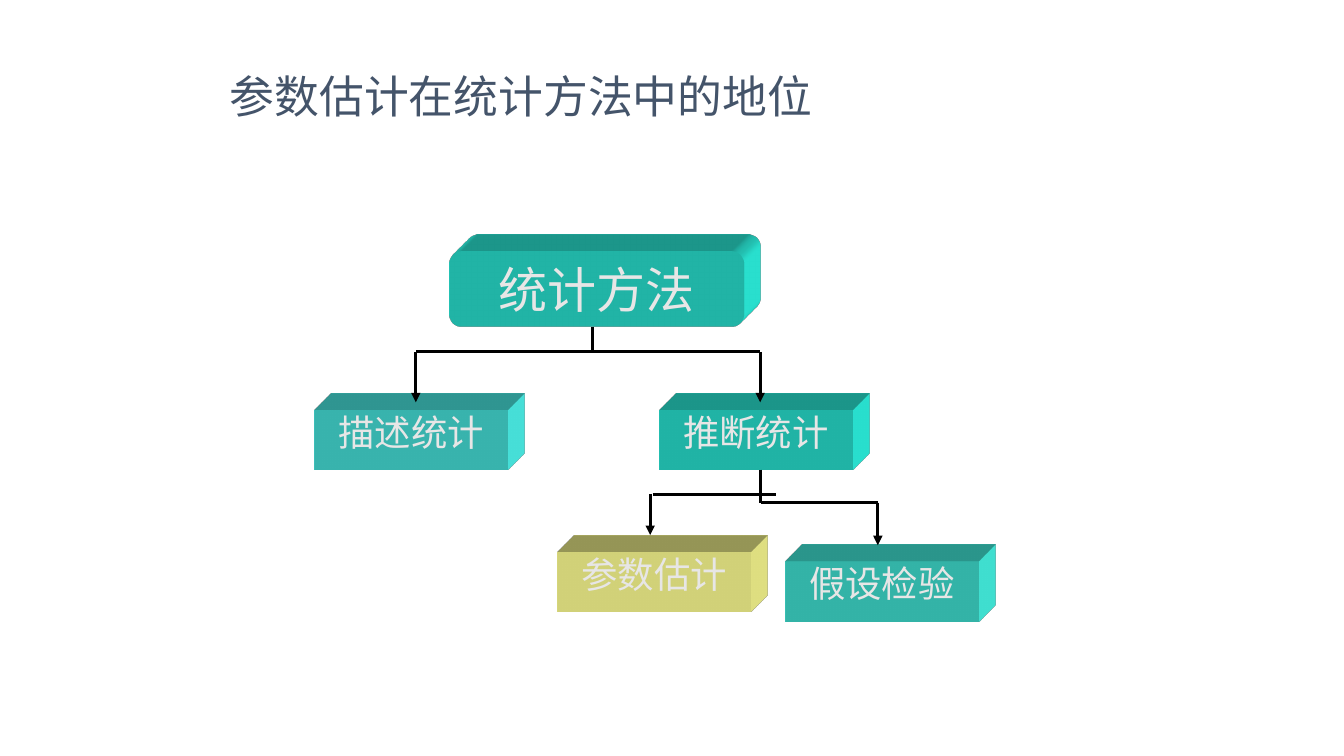
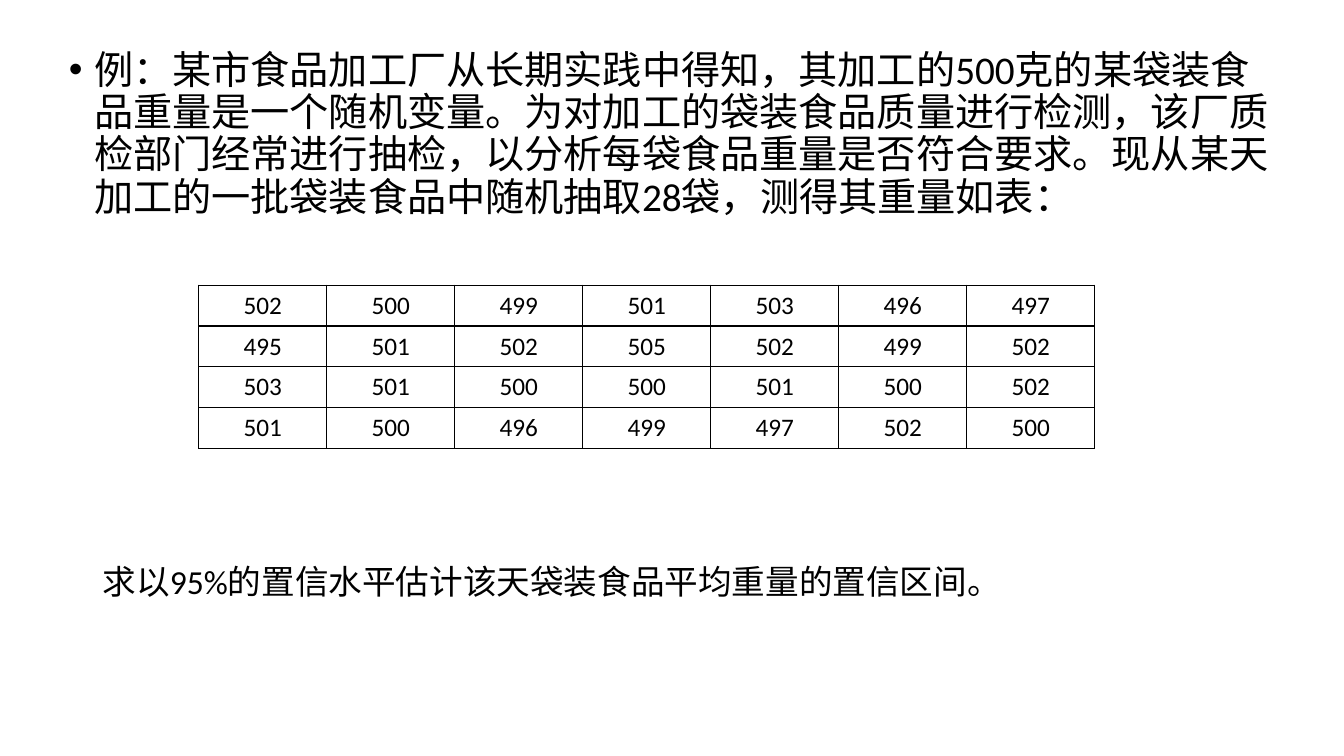
"""Build two slides on parameter estimation: a method tree and a worked sample."""
import pptx
import pptx.util
import pptx.dml.color
import pptx.enum.shapes
import pptx.enum.text
import pptx.oxml
import pptx.oxml.ns
from lxml import etree

Pt = pptx.util.Pt
Color = pptx.dml.color.RGBColor.from_string
Align = pptx.enum.text.PP_ALIGN
Anchor = pptx.enum.text.MSO_ANCHOR
Kind = pptx.enum.shapes.MSO_SHAPE
tag = pptx.oxml.ns.qn

THEME = {
    "sans": "Calibri", "serif": "Times New Roman",
    "title": "44546A", "ink": "000000", "pale": "E7E6E6",
    "teal": "2FFFEB", "aqua": "51FFF7", "mint": "49FFEE", "gold": "FFFF93",
    "head": 32, "root": 35, "node": 26, "body": 28, "note": 24, "cell": 18,
    "line": 2.25, "rule": 1,
}

deck = pptx.Presentation()
deck.slide_width = pptx.util.Inches(13.333)
deck.slide_height = pptx.util.Inches(7.5)
ROWS = 90
UNIT = deck.slide_height / ROWS


def write(frame, text, size, font="sans", color="ink", align=Align.LEFT,
          anchor=Anchor.TOP, wrap=True, lead=None, bullet=None, indent=0):
    """Put one formatted paragraph into a text frame."""
    frame.word_wrap = wrap
    frame.vertical_anchor = anchor
    para = frame.paragraphs[0]
    if bullet:
        props = para._p.get_or_add_pPr()
        props.set("marL", str(int(indent * UNIT)))
        props.set("indent", str(int(-indent * UNIT)))
        etree.SubElement(props, tag("a:buFont")).set("typeface", "Arial")
        etree.SubElement(props, tag("a:buChar")).set("char", bullet)
    para.alignment = align
    if lead:
        para.line_spacing = lead
    run = para.add_run()
    run.text = text
    run.font.size = Pt(THEME[size])
    run.font.name = THEME[font]
    run.font.color.rgb = Color(THEME[color])


def raise_box(shape, base, light):
    """Fill a shape and extrude it to the upper right."""
    shape.shadow.inherit = False
    shape.fill.solid()
    shape.fill.fore_color.rgb = Color(THEME[base])
    shape.line.fill.background()
    props = shape._element.spPr
    scene = etree.SubElement(props, tag("a:scene3d"))
    etree.SubElement(scene, tag("a:camera"), prst="legacyObliqueTopRight")
    etree.SubElement(scene, tag("a:lightRig"), rig="legacyFlat3", dir=light)
    solid = etree.SubElement(
        props, tag("a:sp3d"), extrusionH="430200", prstMaterial="legacyMatte")
    for bevel in ("a:bevelT", "a:bevelB"):
        etree.SubElement(solid, tag(bevel), w="13500", h="13500", prst="angle")
    tint = etree.SubElement(solid, tag("a:extrusionClr"))
    etree.SubElement(tint, tag("a:srgbClr"), val=THEME[base])


tree = deck.slides.add_slide(deck.slide_layouts[6])
data = deck.slides.add_slide(deck.slide_layouts[6])

texts = [
    (tree, (26.16, 6.3, 73.7, 10.9), "参数估计在统计方法中的地位",
     dict(size="head", color="title", anchor=Anchor.MIDDLE, lead=0.9)),
    (data, (7.02, 5.4, 147.5, 57.1),
     "例：某市食品加工厂从长期实践中得知，其加工的500克的某袋装食品重量是一个随机变量。"
     "为对加工的袋装食品质量进行检测，该厂质检部门经常进行抽检，以分析每袋食品重量是否符合要求。"
     "现从某天加工的一批袋装食品中随机抽取28袋，测得其重量如表：",
     dict(size="body", lead=0.9, bullet="•", indent=3)),
    (data, (11.04, 66.24, 110.4, 6), "求以95%的置信水平估计该天袋装食品平均重量的置信区间。",
     dict(size="note", wrap=False)),
]
for slide, spot, text, style in texts:
    box = slide.shapes.add_textbox(*[int(n * UNIT) for n in spot])
    write(box.text_frame, text, **style)

WIDE, HIGH = 23.04, 7.1
nodes = [
    ("参数估计", 66.36, 65.76, "gold", "t"),
    ("假设检验", 93.48, 66.84, "mint", "b"),
    ("描述统计", 37.44, 48.84, "aqua", "b"),
    ("推断统计", 78.48, 48.84, "teal", "b"),
]
for text, left, top, base, light in nodes:
    node = tree.shapes.add_shape(
        Kind.RECTANGLE, *[int(n * UNIT) for n in (left, top, WIDE, HIGH)])
    raise_box(node, base, light)
    frame = node.text_frame
    frame.margin_left = frame.margin_right = frame.margin_top = frame.margin_bottom = 0
    write(frame, text, "node", font="serif", color="pale", align=Align.CENTER, wrap=False)

root = tree.shapes.add_shape(
    Kind.ROUNDED_RECTANGLE, *[int(n * UNIT) for n in (53.5, 29.9, 35, 9)])
raise_box(root, "teal", "b")
write(root.text_frame, "统计方法", "root", color="pale",
      align=Align.CENTER, anchor=Anchor.MIDDLE, wrap=False)

links = [
    (77.4, 58.8, 77.4, 63.7, True),
    (77.7, 58.9, 92.4, 58.9, False),
    (70.5, 38.9, 70.5, 41.9, False),
    (49.5, 41.9, 90.5, 41.9, False),
    (49.5, 41.9, 49.5, 47.9, True),
    (90.5, 41.9, 90.5, 47.9, True),
    (90.5, 55.9, 90.5, 59.85, False),
    (90.6, 59.85, 104.5, 59.85, False),
    (104.5, 59.85, 104.5, 64.9, True),
]
for *ends, arrow in links:
    link = tree.shapes.add_connector(
        pptx.enum.shapes.MSO_CONNECTOR.STRAIGHT, *[int(n * UNIT) for n in ends])
    link.line.color.rgb = Color(THEME["ink"])
    link.line.width = Pt(THEME["line"])
    if arrow:
        etree.SubElement(link.line._get_or_add_ln(), tag("a:tailEnd")).set("type", "triangle")
    etree.SubElement(link._element.spPr, tag("a:effectLst"))

weights = [
    (502, 500, 499, 501, 503, 496, 497),
    (495, 501, 502, 505, 502, 499, 502),
    (503, 501, 500, 500, 501, 500, 502),
    (501, 500, 496, 499, 497, 502, 500),
]
CELL = (15.24, 4.86)
size = (len(weights[0]) * CELL[0], len(weights) * CELL[1])
grid = data.shapes.add_table(
    len(weights), len(weights[0]), *[int(n * UNIT) for n in (23.66, 33.96, *size)]).table
grid.first_row = grid.horz_banding = False
for col in grid.columns:
    col.width = int(CELL[0] * UNIT)
for row, values in zip(grid.rows, weights):
    row.height = int(CELL[1] * UNIT)
    for cell, value in zip(row.cells, values):
        cell.fill.background()
        write(cell.text_frame, str(value), "cell", align=Align.CENTER)
        props = cell._tc.get_or_add_tcPr()
        for place, side in enumerate(("a:lnL", "a:lnR", "a:lnT", "a:lnB")):
            rule = etree.Element(tag(side), w=str(Pt(THEME["rule"])))
            fill = etree.SubElement(rule, tag("a:solidFill"))
            etree.SubElement(fill, tag("a:srgbClr")).set("val", THEME["ink"])
            props.insert(place, rule)

deck.save("out.pptx")
